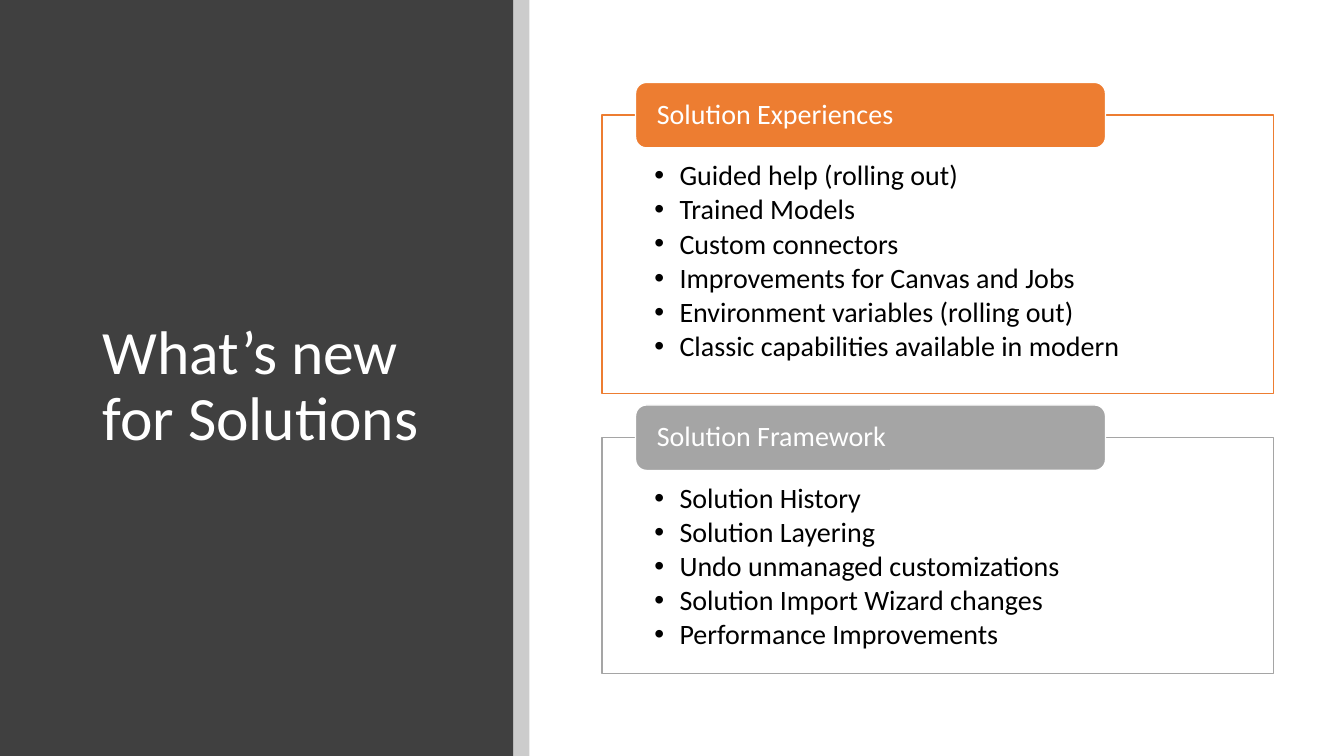
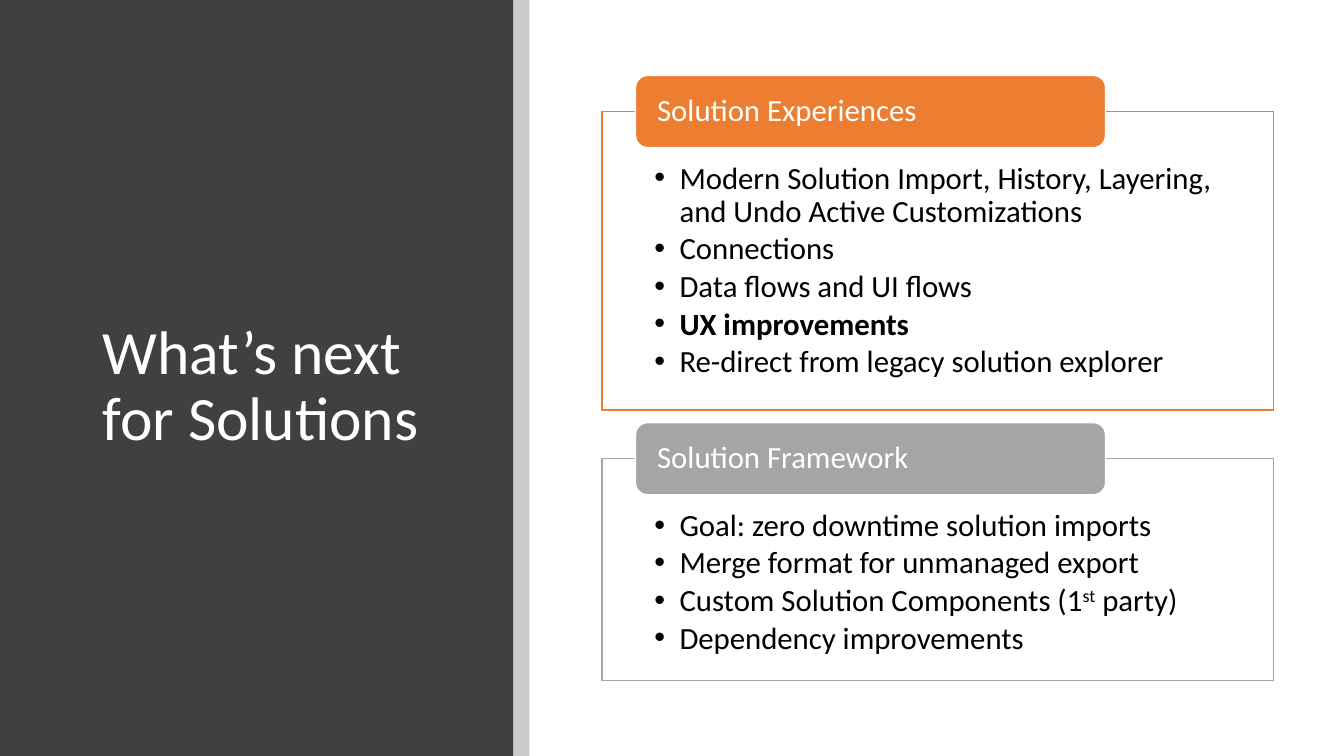
from lxml import etree
from pptx import Presentation
from pptx.dml.color import RGBColor
from pptx.enum import shapes, text
from pptx.oxml import ns
from pptx.util import Inches, Pt

SLIDE_W, SLIDE_H = 13.33, 7.5
FONT = "Calibri"
WHITE, BLACK, DARK = "FFFFFF", "000000", "404040"
ORANGE, GRAY = "ED7D31", "A5A5A5"
SIDEBAR_W, STRIPE_W = 5.09, 0.16
PANEL_LEFT, PANEL_W = 5.97, 6.66
BOLD, SUPERSCRIPT = "bold", "superscript"


def rgb(color):
    return RGBColor.from_string(color)


def add_box(slide, kind, box, fill, line=None, alpha=None):
    shape = slide.shapes.add_shape(kind, *map(Inches, box))
    shape.shadow.inherit = False
    shape.fill.solid()
    shape.fill.fore_color.rgb = rgb(fill)
    if alpha is not None:
        solid = shape.fill._xPr.find(ns.qn("a:solidFill"))
        etree.SubElement(solid[0], ns.qn("a:alpha"), val=str(alpha * 1000))
    if line:
        shape.line.color.rgb = rgb(line)
        shape.line.width = Pt(1)
    else:
        shape.line.fill.background()
    return shape


def set_frame(shape, insets, anchor):
    frame = shape.text_frame
    frame.word_wrap = True
    frame.vertical_anchor = anchor
    (frame.margin_left, frame.margin_top,
     frame.margin_right, frame.margin_bottom) = map(Inches, insets)
    return frame


def style_paragraph(paragraph, size, color):
    paragraph.alignment = text.PP_ALIGN.LEFT
    paragraph.line_spacing = 0.9
    paragraph.font.name = FONT
    paragraph.font.size = Pt(size)
    paragraph.font.color.rgb = rgb(color)


def add_bullet(paragraph):
    props = paragraph._p.get_or_add_pPr()
    props.set("marL", str(Inches(0.25)))
    props.set("indent", str(Inches(-0.25)))
    etree.SubElement(props, ns.qn("a:buFont"), typeface="Arial")
    etree.SubElement(props, ns.qn("a:buChar"), char="•")


def add_sidebar(slide, title):
    rect = shapes.MSO_SHAPE.RECTANGLE
    add_box(slide, rect, (0, 0, SIDEBAR_W, SLIDE_H), DARK)
    add_box(slide, rect, (SIDEBAR_W, 0, STRIPE_W, SLIDE_H), BLACK, alpha=20)
    heading = slide.shapes.add_textbox(*map(Inches, (0.92, 0.89, 3.65, 5.91)))
    frame = set_frame(heading, (0.1, 0.05, 0.1, 0.05), text.MSO_ANCHOR.MIDDLE)
    frame.text = title
    style_paragraph(frame.paragraphs[0], 44, WHITE)


def add_topic(slide, box, tab_h, size, color, name, items):
    """Outlined bullet panel with a tab centred on its top edge."""
    left, top, width, height = box
    # Panel with bullets
    panel = add_box(slide, shapes.MSO_SHAPE.RECTANGLE, box, WHITE, color, 90)
    frame = set_frame(panel, (0.52, size * 0.023, 0.52, size * 0.008),
                      text.MSO_ANCHOR.TOP)
    for index, item in enumerate(items):
        bullet = frame.paragraphs[0] if index == 0 else frame.add_paragraph()
        add_bullet(bullet)
        style_paragraph(bullet, size, BLACK)
        bullet.space_after = Pt(size * 0.14)
        for words, emphasis in [(item, None)] if isinstance(item, str) else item:
            run = bullet.add_run()
            run.text = words
            if emphasis == BOLD:
                run.font.bold = True
            elif emphasis == SUPERSCRIPT:
                run._r.get_or_add_rPr().set("baseline", "30000")

    # Tab
    tab_box = (left + width * 0.05, top - tab_h / 2, width * 0.7, tab_h)
    tab = add_box(slide, shapes.MSO_SHAPE.ROUNDED_RECTANGLE, tab_box, color, WHITE)
    label = set_frame(tab, (0.18, 0, 0.18, 0), text.MSO_ANCHOR.MIDDLE)
    label.text = name
    style_paragraph(label.paragraphs[0], size, WHITE)


def add_topics(slide, size, topics):
    """Stack the topics, centred on the slide height; gaps follow the text size."""
    tab_h, gap = size * 0.0325, size * 0.022
    stack_h = tab_h / 2 + sum(t[2] for t in topics) + gap * (len(topics) - 1)
    top = (SLIDE_H - stack_h) / 2 + tab_h / 2
    for name, color, height, items in topics:
        box = (PANEL_LEFT, top, PANEL_W, height)
        add_topic(slide, box, tab_h, size, color, name, items)
        top += height + gap


SLIDES = [
    ("What’s new for Solutions", 20, [
        ("Solution Experiences", ORANGE, 2.76, [
            "Guided help (rolling out)",
            "Trained Models",
            "Custom connectors",
            "Improvements for Canvas and Jobs",
            "Environment variables (rolling out)",
            "Classic capabilities available in modern",
        ]),
        ("Solution Framework", GRAY, 2.34, [
            "Solution History",
            "Solution Layering",
            "Undo unmanaged customizations",
            "Solution Import Wizard changes",
            "Performance Improvements",
        ]),
    ]),
    ("What’s next for Solutions", 22, [
        ("Solution Experiences", ORANGE, 2.96, [
            "Modern Solution Import, History, Layering, and Undo Active Customizations",
            "Connections",
            "Data flows and UI flows",
            [("UX improvements", BOLD)],
            "Re-direct from legacy solution explorer",
        ]),
        ("Solution Framework", GRAY, 2.2, [
            "Goal: zero downtime solution imports",
            "Merge format for unmanaged export",
            [("Custom Solution Components (1", None), ("st", SUPERSCRIPT),
             (" party)", None)],
            "Dependency improvements",
        ]),
    ]),
]


def main():
    deck = Presentation()
    deck.slide_width, deck.slide_height = Inches(SLIDE_W), Inches(SLIDE_H)
    for title, size, topics in SLIDES:
        slide = deck.slides.add_slide(deck.slide_layouts[6])
        add_sidebar(slide, title)
        add_topics(slide, size, topics)
    deck.save("out.pptx")


if __name__ == "__main__":
    main()
